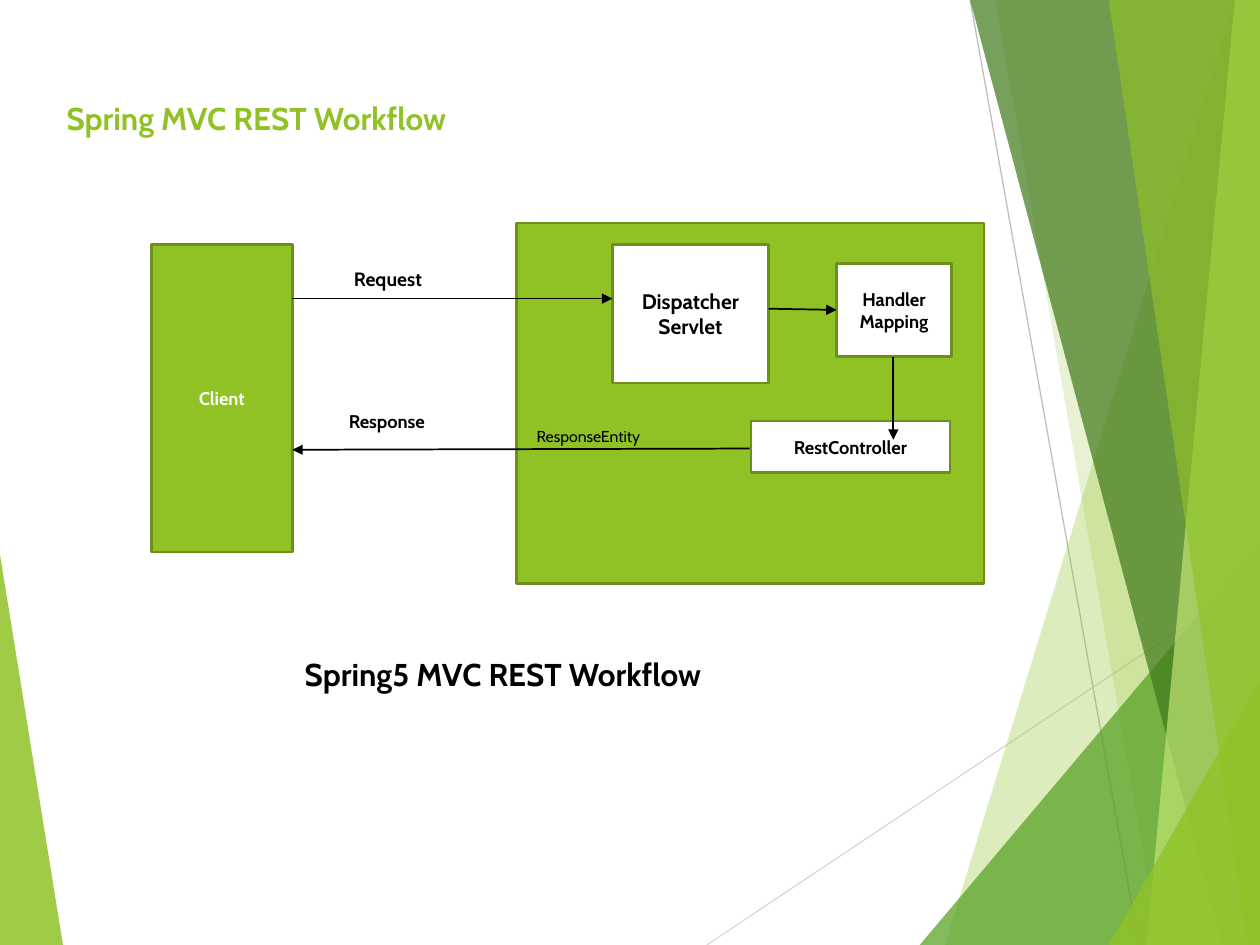
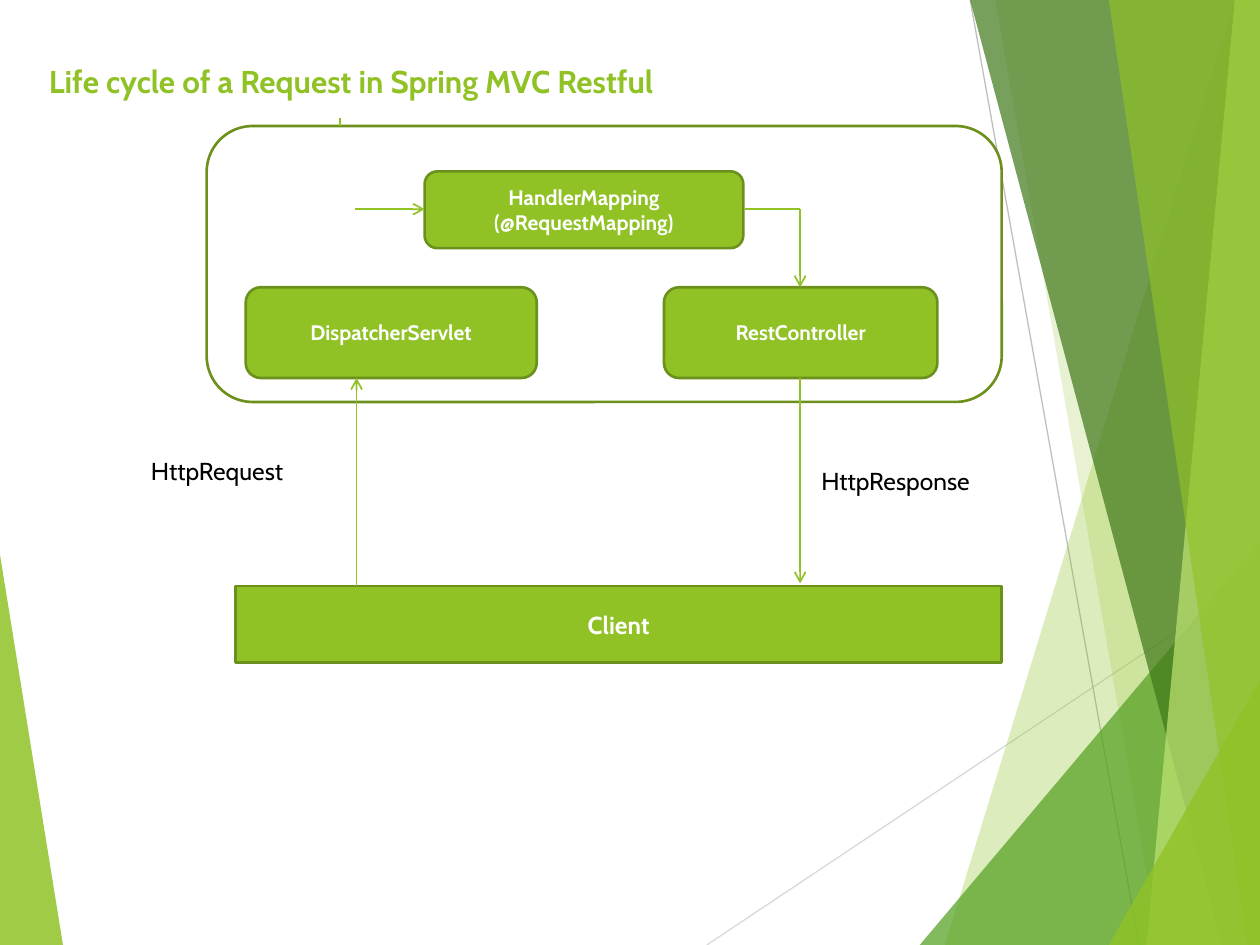
from dataclasses import dataclass

from lxml.etree import SubElement
from pptx import Presentation
from pptx.dml.color import RGBColor
from pptx.enum.shapes import MSO_CONNECTOR, MSO_SHAPE
from pptx.enum.text import MSO_ANCHOR, PP_ALIGN
from pptx.oxml.ns import qn
from pptx.slide import Slide
from pptx.text.text import TextFrame
from pptx.util import Inches, Pt

# Grid of 100 columns by 75 rows; every length below is in cells
COLS, ROWS = 100, 75
CELL = Inches(0.1)
FONT = "Cabin"
COLORS = {
    "lime": "90C226", "olive": "6B901C", "leaf": "54A021", "forest": "3F7819",
    "pale": "C0E474", "silver": "BFBFBF", "mist": "D9D9D9",
    "white": "FFFFFF", "black": "000000",
}


@dataclass(frozen=True)
class Band:
    points: tuple[tuple[float, float], ...]
    color: str
    opacity: int


@dataclass(frozen=True)
class Box:
    left: float
    top: float
    width: float
    height: float
    text: str = ""
    size: float = 12
    fill: str = "lime"
    ink: str = "white"
    rounded: bool = False


@dataclass(frozen=True)
class Label:
    left: float
    top: float
    width: float
    height: float
    text: str
    size: float
    bold: bool = False
    ink: str = "black"


@dataclass(frozen=True)
class Line:
    start: tuple[float, float]
    end: tuple[float, float]
    color: str
    head: str = ""
    weight: float = 1


@dataclass(frozen=True)
class Diagram:
    title: Label
    boxes: tuple[Box, ...]
    lines: tuple[Line, ...]
    labels: tuple[Label, ...]


# Backdrop shared by both slides
BACKDROP_LINES = (
    Line((56.1, ROWS), (COLS, 45.7), "mist", weight=0.75),
    Line((77, 0), (90.4, ROWS), "silver", weight=0.75),
)
BANDS = (
    Band(((0, 43.9), (4.9, ROWS), (0, ROWS)), "lime", 85),
    Band(((97.5, 0), (75.4, ROWS), (COLS, ROWS), (COLS, 0)), "lime", 30),
    Band(((78.8, 0), (91.9, ROWS), (COLS, ROWS), (COLS, 0)), "lime", 20),
    Band(((72.6, ROWS), (COLS, 42.9), (COLS, ROWS)), "leaf", 72),
    Band(((76.7, 0), (97, ROWS), (COLS, ROWS), (COLS, 0)), "forest", 70),
    Band(((98.1, 0), (90.7, ROWS), (COLS, ROWS), (COLS, 0)), "pale", 70),
    Band(((88.3, 0), (98.6, ROWS), (COLS, ROWS), (99.8, 0)), "lime", 65),
    Band(((88.1, ROWS), (COLS, 53.5), (COLS, ROWS)), "lime", 80),
)


def title(left: float, top: float, text: str) -> Label:
    return Label(left, top, 90.9, 5, text, 18, True, "lime")


def server_part(left: float, top: float, width: float, height: float,
                text: str, size: float) -> Box:
    return Box(left, top, width, height, text, size, "white", "black")


def flow(start: tuple[float, float], end: tuple[float, float]) -> Line:
    return Line(start, end, "black", "triangle")


def step(start: tuple[float, float], end: tuple[float, float]) -> Line:
    return Line(start, end, "lime", "arrow")


# Slide 1: client and server exchange
WORKFLOW = Diagram(
    title(4.3, 7.4, "Spring MVC REST Workflow"),
    boxes=(
        Box(41, 17.7, 37.1, 28.6),
        server_part(48.6, 19.4, 12.4, 11, "Dispatcher Servlet", 12),
        server_part(66.4, 20.9, 9.1, 7.4, "Handler Mapping", 10.5),
        server_part(59.6, 33.4, 15.8, 4.1, "RestController", 10.5),
        Box(12, 19.4, 11.2, 24.4, "Client", 10.5),
    ),
    lines=(
        flow((23.2, 23.7), (48.6, 23.7)),
        flow((61, 24.5), (66.4, 24.6)),
        flow((70.9, 28.3), (70.9, 34.9)),
        flow((59.5, 35.6), (23.2, 35.7)),
    ),
    labels=(
        Label(41.6, 33.4, 14.8, 2.5, "ResponseEntity", 9),
        Label(27.1, 20.7, 11.2, 2.9, "Request", 11, True),
        Label(26.7, 32.1, 11.6, 2.8, "Response", 10.5, True),
        Label(23.2, 51.5, 49.9, 4, "Spring5 MVC REST Workflow", 18, True),
    ),
)

# Slide 2: path of one request through the framework
RESPONSE_COL, MAPPING_ROW, SERVLET_BOTTOM = 63.5, 16.6, 30
LIFE_CYCLE = Diagram(
    title(2.9, 4.4, "Life cycle of a Request in Spring MVC Restful"),
    boxes=(
        Box(18.7, 46.5, 60.8, 6.1, "Client", 14),
        Box(16.4, 10, 63.1, 21.9, fill="white", rounded=True),
        Box(19.5, 22.8, 23.1, 7.2, "DispatcherServlet", rounded=True),
        Box(52.7, 22.8, 21.7, 7.2, "RestController", rounded=True),
        Box(33.7, 13.6, 25.3, 6.1, "HandlerMapping\n(@RequestMapping)", rounded=True),
    ),
    lines=(
        Line((27, 9.4), (27, 10), "lime"),
        step((28.3, 46.5), (28.3, SERVLET_BOTTOM)),
        step((28.2, MAPPING_ROW), (33.7, MAPPING_ROW)),
        Line((59.1, MAPPING_ROW), (RESPONSE_COL, MAPPING_ROW), "lime"),
        step((RESPONSE_COL, MAPPING_ROW), (RESPONSE_COL, 22.8)),
        step((RESPONSE_COL, SERVLET_BOTTOM), (RESPONSE_COL, 46.3)),
    ),
    labels=(
        Label(11, 35.7, 21.4, 3.4, "HttpRequest", 14),
        Label(64.2, 36.5, 21.4, 3.4, "HttpResponse", 14),
    ),
)


def cells(*counts: float) -> list[int]:
    return [round(count * CELL) for count in counts]


def rgb(name: str) -> RGBColor:
    return RGBColor.from_string(COLORS[name])


def write(frame: TextFrame, text: str, size: float, ink: str, bold: bool,
          align: PP_ALIGN) -> None:
    frame.word_wrap = True
    frame.text = text
    for paragraph in frame.paragraphs:
        paragraph.alignment = align
        for run in paragraph.runs:
            run.font.name, run.font.size, run.font.bold = FONT, Pt(size), bold
            run.font.color.rgb = rgb(ink)


def draw_band(slide: Slide, band: Band) -> None:
    first, *rest = band.points
    builder = slide.shapes.build_freeform(*first, scale=CELL)
    builder.add_line_segments(rest, close=True)
    shape = builder.convert_to_shape()
    shape.shadow.inherit = False
    shape.line.fill.background()
    shape.fill.solid()
    shape.fill.fore_color.rgb = rgb(band.color)
    color = shape.fill._xPr.find(qn("a:solidFill"))[0]
    SubElement(color, qn("a:alpha"), val=str(band.opacity * 1000))


def draw_box(slide: Slide, box: Box) -> None:
    kind = MSO_SHAPE.ROUNDED_RECTANGLE if box.rounded else MSO_SHAPE.RECTANGLE
    shape = slide.shapes.add_shape(
        kind, *cells(box.left, box.top, box.width, box.height))
    shape.shadow.inherit = False
    shape.fill.solid()
    shape.fill.fore_color.rgb = rgb(box.fill)
    shape.line.color.rgb = rgb("olive")
    shape.line.width = Pt(1.5)
    if box.text:
        shape.text_frame.vertical_anchor = MSO_ANCHOR.MIDDLE
        write(shape.text_frame, box.text, box.size, box.ink, True, PP_ALIGN.CENTER)


def draw_line(slide: Slide, line: Line) -> None:
    connector = slide.shapes.add_connector(
        MSO_CONNECTOR.STRAIGHT, *cells(*line.start, *line.end))
    connector.line.color.rgb = rgb(line.color)
    connector.line.width = Pt(line.weight)
    if line.head:
        SubElement(connector.line._get_or_add_ln(), qn("a:tailEnd"), type=line.head)
    SubElement(connector._element.spPr, qn("a:effectLst"))


def draw_label(slide: Slide, label: Label) -> None:
    textbox = slide.shapes.add_textbox(
        *cells(label.left, label.top, label.width, label.height))
    write(textbox.text_frame, label.text, label.size, label.ink, label.bold,
          PP_ALIGN.LEFT)


def draw_diagram(slide: Slide, diagram: Diagram) -> None:
    for line in BACKDROP_LINES:
        draw_line(slide, line)
    for band in BANDS:
        draw_band(slide, band)
    for box in diagram.boxes:
        draw_box(slide, box)
    for line in diagram.lines:
        draw_line(slide, line)
    for label in (diagram.title, *diagram.labels):
        draw_label(slide, label)


def main() -> None:
    deck = Presentation()
    deck.slide_width, deck.slide_height = cells(COLS, ROWS)
    blank = deck.slide_layouts[6]
    for diagram in (WORKFLOW, LIFE_CYCLE):
        draw_diagram(deck.slides.add_slide(blank), diagram)
    deck.save("out.pptx")


if __name__ == "__main__":
    main()
